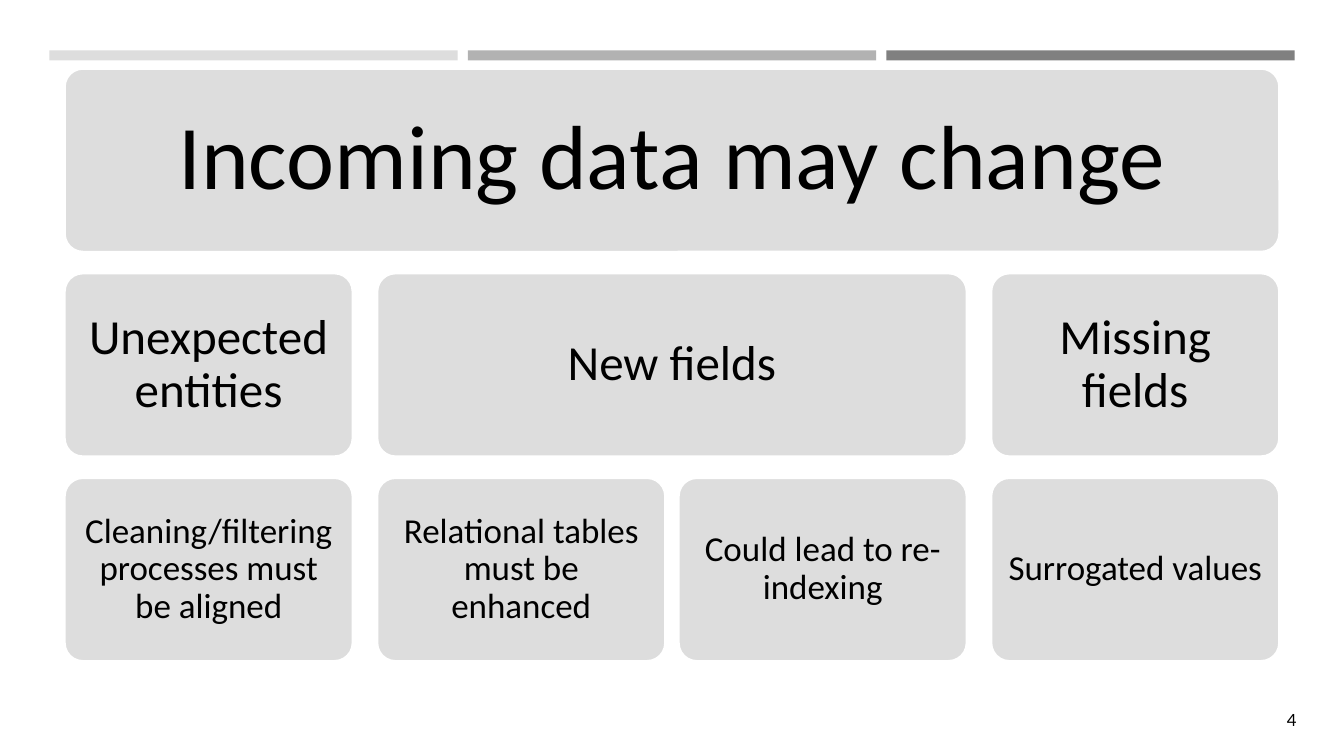
from dataclasses import dataclass

from pptx import Presentation
from pptx.dml.color import RGBColor
from pptx.enum.shapes import MSO_SHAPE
from pptx.enum.text import MSO_ANCHOR, MSO_AUTO_SIZE, PP_ALIGN
from pptx.util import Inches, Pt

RECT, ROUND = MSO_SHAPE.RECTANGLE, MSO_SHAPE.ROUNDED_RECTANGLE
MIDDLE, NO_FIT = MSO_ANCHOR.MIDDLE, MSO_AUTO_SIZE.NONE
CENTER, RIGHT = PP_ALIGN.CENTER, PP_ALIGN.RIGHT
TITLE_ONLY = 5


@dataclass(frozen=True)
class Level:
    size: int
    inset: float


@dataclass(frozen=True)
class Theme:
    font: str = "Calibri"
    page_font: str = "Lato"
    ink: RGBColor = RGBColor(0, 0, 0)
    edge: RGBColor = RGBColor(255, 255, 255)
    box: RGBColor = RGBColor(0xDD, 0xDD, 0xDD)
    bars: tuple = (
        RGBColor(0xDD, 0xDD, 0xDD),
        RGBColor(0xB2, 0xB2, 0xB2),
        RGBColor(0x80, 0x80, 0x80),
    )
    title: Level = Level(65, 0.27)
    topic: Level = Level(35, 0.15)
    leaf: Level = Level(25, 0.1)
    page: Level = Level(12, 0.1)


THEME = Theme()

# Grid in inches: leaf columns, a narrow gap within a topic, a wide one between.
LEFT, TOP = 0.64, 0.68
COL, ROW = 2.86, 1.82
NEAR, FAR, ROW_GAP = 0.13, 0.24, 0.21
CORNER = 0.1
PAD = 0.06  # keeps text clear of the rounded corners

HEAD = "Incoming data may change"
TOPICS = (
    ("Unexpected entities", ("Cleaning/filtering processes must be aligned",)),
    ("New fields", ("Relational tables must be enhanced",
                    "Could lead to re-indexing")),
    ("Missing fields", ("Surrogated values",)),
)


def span(count):
    """Width of a topic that covers count leaf columns."""
    return count * COL + (count - 1) * NEAR


def row_top(row):
    return TOP + row * (ROW + ROW_GAP)


def add_block(slide, kind, x, y, w, h, fill):
    block = slide.shapes.add_shape(
        kind, Inches(x), Inches(y), Inches(w), Inches(h))
    block.shadow.inherit = False
    block.fill.solid()
    block.fill.fore_color.rgb = fill
    block.line.fill.background()
    return block


def set_text(shape, text, level, font=THEME.font, align=CENTER, lead=0.9):
    frame = shape.text_frame
    frame.text = text
    frame.word_wrap = True
    frame.auto_size = NO_FIT
    frame.vertical_anchor = MIDDLE
    frame.margin_left = frame.margin_right = Inches(level.inset)
    frame.margin_top = frame.margin_bottom = Inches(level.inset)
    para = frame.paragraphs[0]
    para.alignment = align
    para.line_spacing = lead
    para.font.name = font
    para.font.size = Pt(level.size)
    para.font.color.rgb = THEME.ink


def add_box(slide, x, row, width):
    box = add_block(slide, ROUND, x, row_top(row), width, ROW, THEME.box)
    box.adjustments[0] = CORNER
    box.line.color.rgb = THEME.edge
    box.line.width = Pt(1.75)
    return box


def add_bars(slide):
    left, width, gap = 0.49, 4.05, 0.1
    for i, fill in enumerate(THEME.bars):
        add_block(slide, RECT, left + i * (width + gap), 0.5, width, 0.1, fill)


def add_title(slide, width):
    """Lay the title placeholder over its box."""
    add_box(slide, LEFT, 0, width)
    title = slide.shapes.title
    title.left, title.top = Inches(LEFT + PAD), Inches(TOP + PAD)
    title.width, title.height = Inches(width - 2 * PAD), Inches(ROW - 2 * PAD)
    set_text(title, HEAD, THEME.title)
    tree = slide.shapes.element
    tree.remove(title.element)
    tree.append(title.element)


def add_topics(slide):
    """Draw each topic above its leaves and return the full width."""
    x = LEFT
    for name, leaves in TOPICS:
        width = span(len(leaves))
        set_text(add_box(slide, x, 1, width), name, THEME.topic)
        for i, leaf in enumerate(leaves):
            box = add_box(slide, x + i * (COL + NEAR), 2, COL)
            set_text(box, leaf, THEME.leaf)
        x += width + FAR
    return x - FAR - LEFT


def add_page(slide, number):
    box = slide.shapes.add_textbox(
        Inches(12.35), Inches(6.94), Inches(0.61), Inches(0.4))
    set_text(box, number, THEME.page, THEME.page_font, RIGHT, 1.0)


def main():
    deck = Presentation()
    deck.slide_width, deck.slide_height = Inches(13.33), Inches(7.5)
    slide = deck.slides.add_slide(deck.slide_layouts[TITLE_ONLY])
    add_bars(slide)
    width = add_topics(slide)
    add_title(slide, width)
    add_page(slide, "4")
    deck.save("out.pptx")


if __name__ == "__main__":
    main()
